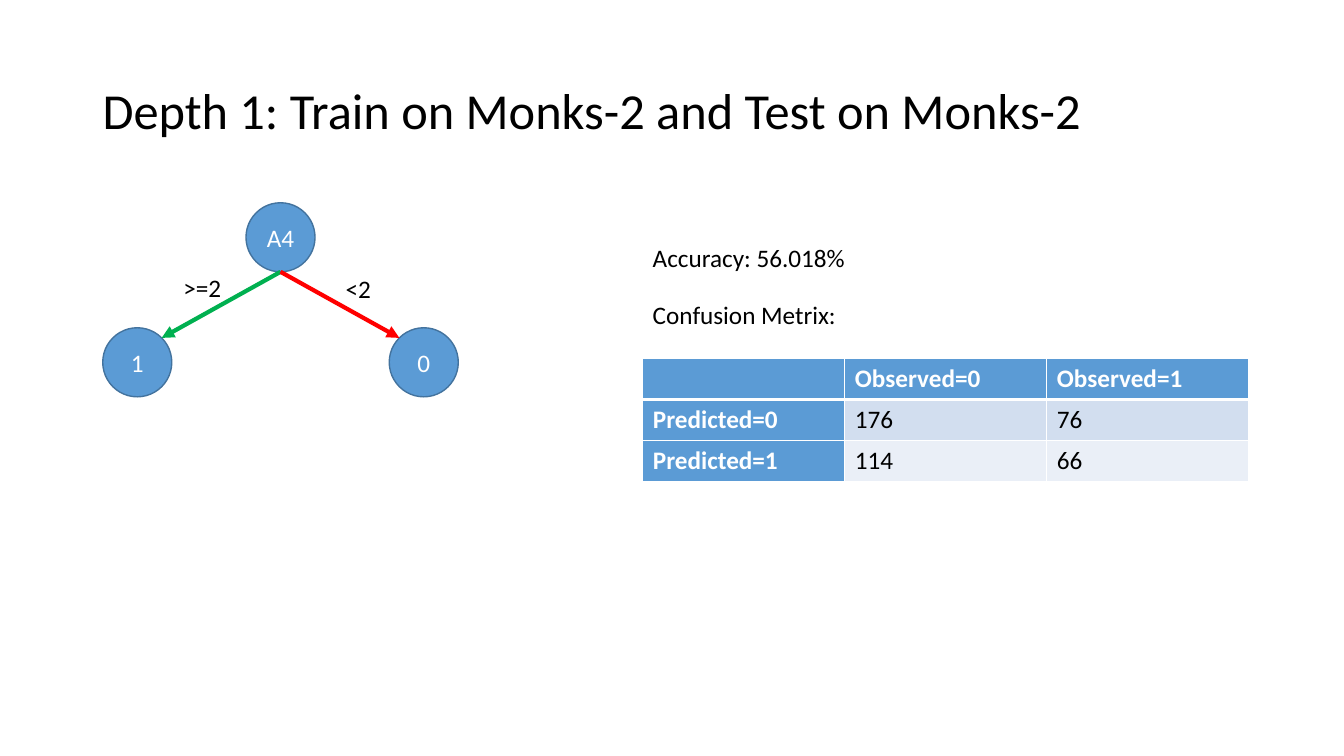
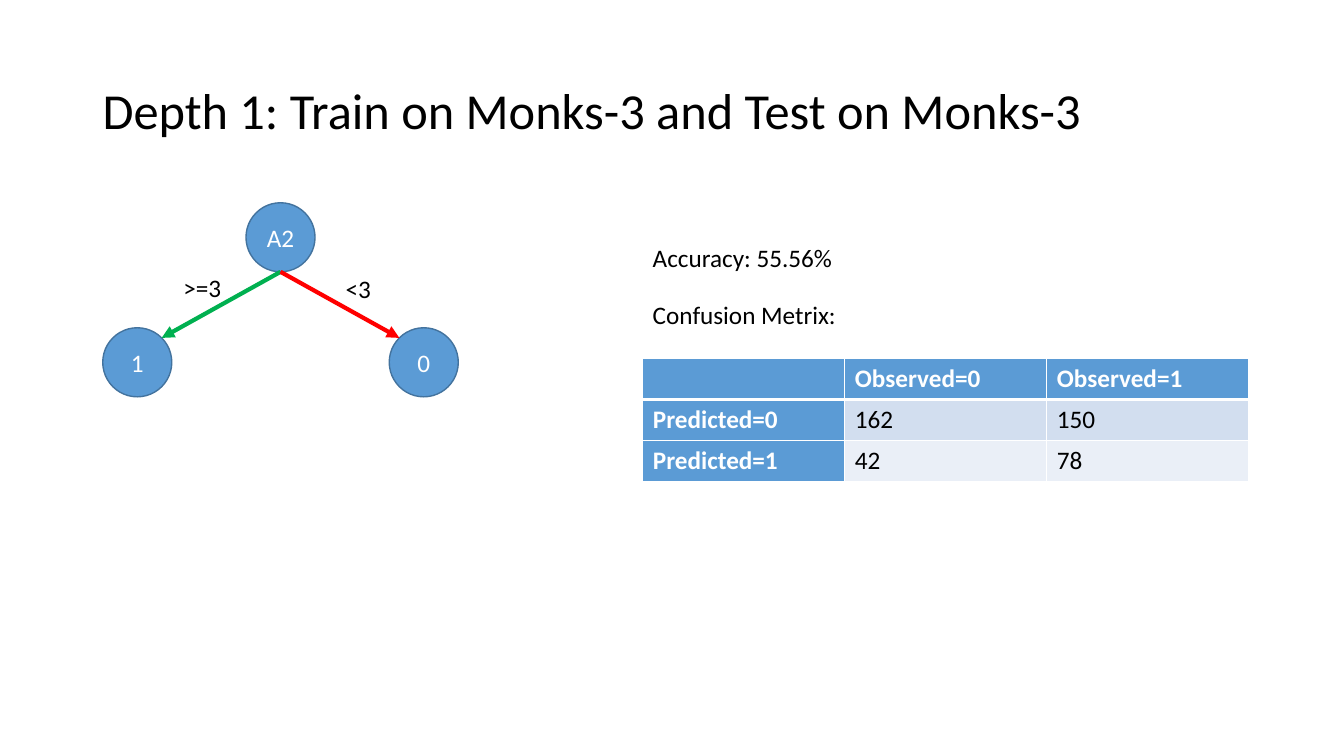
import dataclasses
import math

import lxml.etree
import pptx
import pptx.dml.color
import pptx.enum.shapes
import pptx.enum.text
import pptx.oxml.ns
import pptx.util

Cm = pptx.util.Cm
Pt = pptx.util.Pt
RGBColor = pptx.dml.color.RGBColor
qn = pptx.oxml.ns.qn
Align = pptx.enum.text.PP_ALIGN
Anchor = pptx.enum.text.MSO_ANCHOR
AutoSize = pptx.enum.text.MSO_AUTO_SIZE


@dataclasses.dataclass(frozen=True)
class Theme:
    font: str = "Calibri"
    title_size: int = 36
    text_size: int = 18
    text: str = "000000"
    inverse: str = "FFFFFF"
    accent: str = "5B9BD5"
    outline: str = "43739E"
    yes_branch: str = "00B050"
    no_branch: str = "FF0000"
    bands: tuple = ("D2DEEF", "EAEFF7")


theme = Theme()


def write_text(frame, text, color=theme.text, size=theme.text_size, bold=False, **paragraph_format):
    """Fill a text frame with one paragraph in the deck's font."""
    para = frame.paragraphs[0]
    for name, value in paragraph_format.items():
        setattr(para, name, value)
    span = para.add_run()
    span.text = text
    font_format = {"name": theme.font, "size": Pt(size), "bold": bold}
    for name, value in font_format.items():
        setattr(span.font, name, value)
    span.font.color.rgb = RGBColor.from_string(color)


def add_label(slide, text, left, top, width):
    box = slide.shapes.add_textbox(Cm(left), Cm(top), Cm(width), Cm(1.03))
    box.text_frame.word_wrap = False
    box.text_frame.auto_size = AutoSize.SHAPE_TO_FIT_TEXT
    write_text(box.text_frame, text)


results = [
    {"dataset": "Monks-2", "attribute": "A4", "threshold": 2,
     "accuracy": "56.018%", "accuracy_width": 5.56, "counts": [[176, 76], [114, 66]]},
    {"dataset": "Monks-3", "attribute": "A2", "threshold": 3,
     "accuracy": "55.56%", "accuracy_width": 5.24, "counts": [[162, 150], [42, 78]]},
]

# Tree geometry in centimetres: circle centres and radius
radius = 0.87
root_x, root_y = 7.07, 5.98
leaf_y = 9.13
leaf_offset = 3.61
rim = radius * math.sqrt(0.5)
branches = [("1", -1, theme.yes_branch), ("0", 1, theme.no_branch)]

# Result column in centimetres
result_left = 16.2
column_width, row_height = 5.09, 1.03

deck = pptx.Presentation()
deck.slide_width = Cm(33.87)
deck.slide_height = Cm(19.05)

title_layout = deck.slide_layouts.get_by_name("Title Only")
title_place = {"left": Cm(2.33), "top": Cm(1.01), "width": Cm(29.21), "height": Cm(3.68)}
for name, value in title_place.items():
    setattr(title_layout.placeholders[0], name, value)

for result in results:
    slide = deck.slides.add_slide(title_layout)
    title = slide.shapes.title.text_frame
    title.auto_size = AutoSize.NONE
    title.vertical_anchor = Anchor.MIDDLE
    write_text(title, f"Depth 1: Train on {result['dataset']} and Test on {result['dataset']}",
               size=theme.title_size, alignment=Align.LEFT, line_spacing=0.9)

    # Decision tree
    nodes = [(result["attribute"], root_x, root_y)]
    nodes += [(text, root_x + side * leaf_offset, leaf_y) for text, side, color in branches]
    for text, x, y in nodes:
        node = slide.shapes.add_shape(pptx.enum.shapes.MSO_SHAPE.OVAL, Cm(x - radius),
                                      Cm(y - radius), Cm(2 * radius), Cm(2 * radius))
        node.shadow.inherit = False
        node.fill.solid()
        node.fill.fore_color.rgb = RGBColor.from_string(theme.accent)
        node.line.color.rgb = RGBColor.from_string(theme.outline)
        node.line.width = Pt(1)
        frame_format = {"margin_left": 0, "margin_right": 0, "vertical_anchor": Anchor.MIDDLE}
        for name, value in frame_format.items():
            setattr(node.text_frame, name, value)
        write_text(node.text_frame, text, theme.inverse, alignment=Align.CENTER)

    for text, side, color in branches:
        arrow = slide.shapes.add_connector(
            pptx.enum.shapes.MSO_CONNECTOR.STRAIGHT, Cm(root_x), Cm(root_y + radius),
            Cm(root_x + side * (leaf_offset - rim)), Cm(leaf_y - rim))
        arrow.line.color.rgb = RGBColor.from_string(color)
        arrow.line.width = Pt(3)
        lxml.etree.SubElement(arrow.line._get_or_add_ln(), qn("a:tailEnd"), type="triangle")
        lxml.etree.SubElement(arrow._element.spPr, qn("a:effectLst"))

    add_label(slide, f">={result['threshold']}", 4.37, 6.73, 1.47)
    add_label(slide, f"<{result['threshold']}", 8.46, 6.76, 1.17)
    add_label(slide, f"Accuracy: {result['accuracy']}", result_left, 5.97, result["accuracy_width"])
    add_label(slide, "Confusion Metrix:", result_left, 7.42, 5.18)

    # Confusion table
    rows = [["", "Observed=0", "Observed=1"]]
    rows += [[f"Predicted={index}", *counts] for index, counts in enumerate(result["counts"])]
    table = slide.shapes.add_table(3, 3, Cm(result_left), Cm(9.04),
                                   Cm(3 * column_width), Cm(3 * row_height)).table
    table.first_col = True
    table.horz_banding = False
    for row_index, row in enumerate(rows):
        for column_index, value in enumerate(row):
            cell = table.cell(row_index, column_index)
            heading = row_index == 0 or column_index == 0
            fill = theme.accent if heading else theme.bands[row_index - 1]
            cell.fill.solid()
            cell.fill.fore_color.rgb = RGBColor.from_string(fill)
            if value != "":
                write_text(cell.text_frame, str(value),
                           theme.inverse if heading else theme.text, bold=heading)
            borders = {"a:lnL": 1, "a:lnR": 1,
                       "a:lnT": 3 if row_index == 1 else 1,
                       "a:lnB": 3 if row_index == 0 else 1}
            for position, (tag, width) in enumerate(borders.items()):
                border = lxml.etree.Element(qn(tag), w=str(Pt(width)))
                border_fill = lxml.etree.SubElement(border, qn("a:solidFill"))
                lxml.etree.SubElement(border_fill, qn("a:srgbClr"), val=theme.inverse)
                cell._tc.get_or_add_tcPr().insert(position, border)

deck.save("out.pptx")
